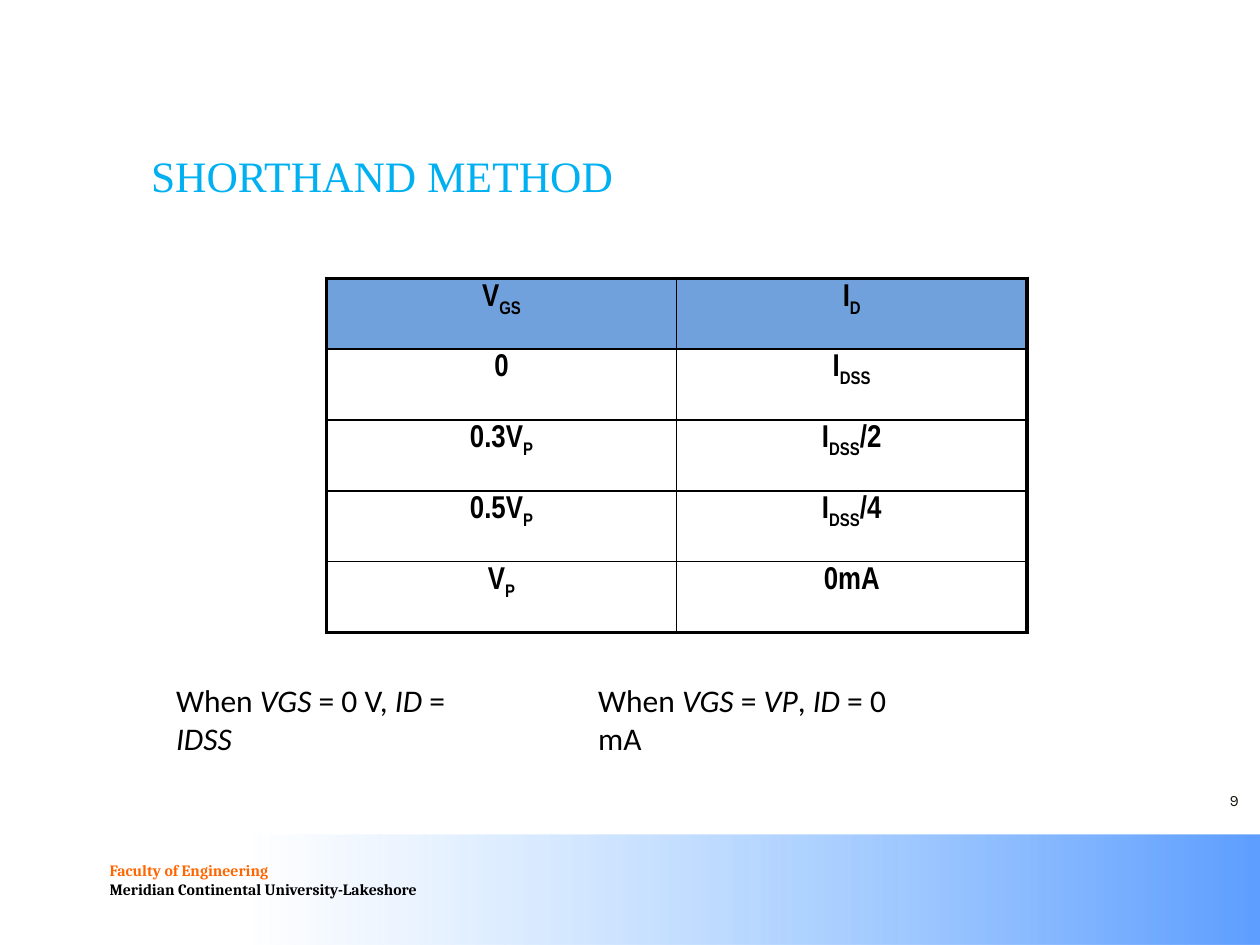
from dataclasses import dataclass

from lxml.etree import SubElement
from pptx import Presentation
from pptx.dml.color import RGBColor
from pptx.enum.shapes import MSO_SHAPE
from pptx.enum.text import MSO_ANCHOR, PP_ALIGN
from pptx.oxml.ns import qn
from pptx.util import Cm, Pt


@dataclass(frozen=True)
class Theme:
    title: str = "00B0F0"
    ink: str = "000000"
    number: str = "191B0E"
    faculty: str = "FF6600"
    header: str = "71A1DC"
    band: str = "5E9EFF"
    band_fade: str = "85C2FF"
    title_size: float = 24.8
    body_size: float = 18
    small_size: float = 9
    outer_line: float = 2.25
    inner_line: float = 1


theme = Theme()


def write(p, text, font, size, color, bold=False, mark="italic"):
    for i, part in enumerate(text.split("_")):
        if not part:
            continue
        r = p.add_run()
        r.text = part
        r.font.name = font
        r.font.size = Pt(size)
        r.font.bold = bold
        r.font.color.rgb = RGBColor.from_string(color)
        if i % 2 and mark == "italic":
            r.font.italic = True
        elif i % 2:
            r._r.get_or_add_rPr().set("baseline", "-25000")


def add_border(cell, side, width):
    ln = SubElement(cell._tc.get_or_add_tcPr(), qn(f"a:{side}"), w=str(Pt(width)))
    fill = SubElement(ln, qn("a:solidFill"))
    SubElement(fill, qn("a:srgbClr"), val=theme.ink)


prs = Presentation()
prs.slide_width, prs.slide_height = Cm(25.4), Cm(19.05)
s = prs.slides.add_slide(prs.slide_layouts[5])

band = s.shapes.add_shape(MSO_SHAPE.RECTANGLE, Cm(0), Cm(16.82), Cm(25.4), Cm(2.22))
band.shadow.inherit = False
band.line.fill.background()
band.fill.gradient()
band.fill.gradient_angle = 180
stops = band.fill.gradient_stops
for stop, position, color in zip(stops, (0, 0.8), (theme.band, theme.band_fade)):
    stop.position = position
    stop.color.rgb = RGBColor.from_string(color)
faded = list(band._element.spPr.iter(qn("a:srgbClr")))[-1]
SubElement(faded, qn("a:alpha"), val="0")

footer = s.shapes.add_textbox(Cm(1.96), Cm(16.82), Cm(7.4), Cm(1.42))
tf = footer.text_frame
tf.vertical_anchor = MSO_ANCHOR.BOTTOM
write(tf.paragraphs[0], "Faculty of Engineering", "Cambria",
      theme.small_size, theme.faculty, bold=True)
write(tf.add_paragraph(), "Meridian Continental University-Lakeshore", "Cambria",
      theme.small_size, theme.ink, bold=True)

title = s.shapes.title
title.left, title.top, title.width, title.height = Cm(2.79), Cm(2.69), Cm(20.62), Cm(1.7)
tf = title.text_frame
tf.vertical_anchor = MSO_ANCHOR.MIDDLE
p = tf.paragraphs[0]
p.alignment = PP_ALIGN.LEFT
write(p, "SHORTHAND METHOD", "Times New Roman", theme.title_size, theme.title)

rows = [
    ("V_GS", "I_D"),
    ("0", "I_DSS"),
    ("0.3V_P", "I_DSS_/2"),
    ("0.5V_P", "I_DSS_/4"),
    ("V_P", "0mA"),
]
last_row, last_col = len(rows) - 1, len(rows[0]) - 1
frame = s.shapes.add_table(len(rows), len(rows[0]), Cm(6.58), Cm(5.61), Cm(14.12), Cm(7.14))
table = frame.table
for i, row in enumerate(rows):
    for j, text in enumerate(row):
        cell = table.cell(i, j)
        cell.margin_left = cell.margin_right = Cm(0.18)
        cell.margin_top = cell.margin_bottom = Cm(0.1)
        p = cell.text_frame.paragraphs[0]
        p.alignment = PP_ALIGN.CENTER
        write(p, text, "Arial Narrow", theme.body_size, theme.ink, bold=True, mark="subscript")
        edges = {"lnL": j == 0, "lnR": j == last_col, "lnT": i == 0, "lnB": i == last_row}
        for side, is_outer in edges.items():
            add_border(cell, side, theme.outer_line if is_outer else theme.inner_line)
        if i == 0:
            cell.fill.solid()
            cell.fill.fore_color.rgb = RGBColor.from_string(theme.header)
        else:
            cell.fill.background()

number = s.shapes.add_textbox(Cm(23.62), Cm(15.75), Cm(1.6), Cm(0.76))
tf = number.text_frame
tf.word_wrap = True
tf.vertical_anchor = MSO_ANCHOR.MIDDLE
p = tf.paragraphs[0]
p.alignment = PP_ALIGN.RIGHT
write(p, "9", "Karla", theme.small_size, theme.number)

conditions = [
    (3.3, 6.68, "When _VGS _= 0 V, _ID _= _IDSS"),
    (11.81, 6.53, "When _VGS _= _VP_, _ID _= 0 mA"),
]
for left, width, text in conditions:
    box = s.shapes.add_textbox(Cm(left), Cm(13.61), Cm(width), Cm(1.8))
    tf = box.text_frame
    tf.word_wrap = True
    write(tf.paragraphs[0], text, "Calibri", theme.body_size, theme.ink)

prs.save("out.pptx")
